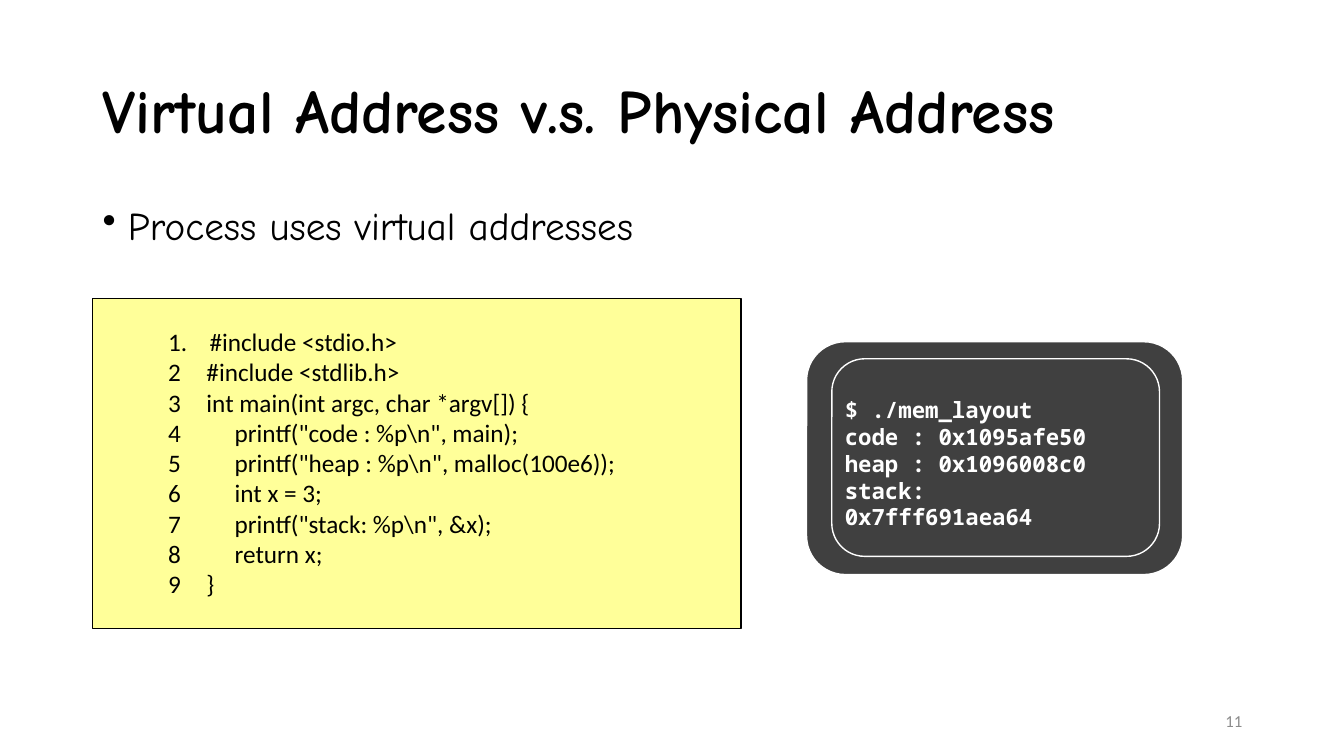
from pptx import Presentation
from pptx.dml.color import RGBColor
from pptx.enum.shapes import MSO_SHAPE
from pptx.enum.text import MSO_ANCHOR, PP_ALIGN
from pptx.oxml import parse_xml
from pptx.oxml.ns import nsdecls
from pptx.util import Inches, Pt

RECT = MSO_SHAPE.RECTANGLE
ROUND = MSO_SHAPE.FLOWCHART_ALTERNATE_PROCESS
TOP, MIDDLE = MSO_ANCHOR.TOP, MSO_ANCHOR.MIDDLE
LEFT, RIGHT = PP_ALIGN.LEFT, PP_ALIGN.RIGHT


def color(code):
    return RGBColor.from_string(code)


def write(box, lines, font="Calibri", size=18, ink="000000", bold=False,
          align=LEFT, anchor=TOP, space=1.0, before=0):
    """Add a text box with one paragraph per line and return the paragraphs."""
    frame = slide.shapes.add_textbox(*map(Inches, box)).text_frame
    frame.word_wrap = True
    frame.vertical_anchor = anchor
    for i, line in enumerate(lines):
        para = frame.add_paragraph() if i else frame.paragraphs[0]
        para.alignment = align
        para.line_spacing = space
        para.space_before = Pt(before)
        run = para.add_run()
        run.text = line
        run.font.name = font
        run.font.size = Pt(size)
        run.font.bold = bold
        run.font.color.rgb = color(ink)
    return frame.paragraphs


def mark(para, indent, tag):
    """Hang the paragraph by indent inches and give it a bullet or number."""
    props = para._p.get_or_add_pPr()
    props.set("marL", str(Inches(indent)))
    props.set("indent", str(-Inches(indent)))
    props.append(parse_xml(tag.replace(" ", f" {nsdecls('a')} ", 1)))


deck = Presentation()
deck.slide_width, deck.slide_height = Inches(13.33), Inches(7.5)
slide = deck.slides.add_slide(deck.slide_layouts[6])

# Heading, bullet and page number
write((0.92, 0.4, 11.5, 1.45), ["Virtual Address v.s. Physical Address"],
      font="Comic Neue", size=44, bold=True, anchor=MIDDLE, space=0.9)
point = write((0.92, 2, 11.5, 4.76), ["Process uses virtual addresses"],
              font="Comic Neue", size=28, space=0.9, before=10)[0]
mark(point, 0.25, '<a:buChar char="•"/>')
write((9.42, 6.95, 3, 0.4), ["11"], size=12, ink="8C8C8C",
      align=RIGHT, anchor=MIDDLE)

# Code panel and terminal window
panels = [
    (RECT, (0.92, 2.96, 6.43, 3.28), "FFFF99", "000000", 0.75),
    (ROUND, (8, 3.39, 3.73, 2.31), "404040", "FFFFFF", 1),
    (ROUND, (8.25, 3.56, 3.25, 1.96), "404040", "FFFFFF", 1),
]
for kind, box, fill, edge, width in panels:
    panel = slide.shapes.add_shape(kind, *map(Inches, box))
    panel.shadow.inherit = False
    panel.fill.solid()
    panel.fill.fore_color.rgb = color(fill)
    panel.line.color.rgb = color(edge)
    panel.line.width = Pt(width)

write((8.28, 3.88, 2.78, 1.45),
      ["$ ./mem_layout", "code : 0x1095afe50", "heap : 0x1096008c0",
       "stack: 0x7fff691aea64"],
      font="Noto Sans Mono", size=16, ink="FFFFFF", bold=True)

# Code: the first number is typed, the rest count on from 2
outer, inner = 0.38, 0.66
code = [
    (outer, "#include <stdlib.h>"),
    (outer, "int main(int argc, char *argv[]) {"),
    (inner, 'printf("code : %p\\n", main);'),
    (inner, 'printf("heap : %p\\n", malloc(100e6));'),
    (inner, "int x = 3;"),
    (inner, 'printf("stack: %p\\n", &x);'),
    (inner, "return x;"),
    (outer, "}"),
]
first, *rest = write((1.57, 3.19, 5.37, 2.83),
                     ["1.\t#include <stdio.h>"] + [line for _, line in code])
first._p.get_or_add_pPr().append(parse_xml(
    f'<a:tabLst {nsdecls("a")}><a:tab pos="{Inches(0.41)}" algn="l"/></a:tabLst>'))
for para, (indent, _) in zip(rest, code):
    mark(para, indent, '<a:buAutoNum type="arabicPlain" startAt="2"/>')

deck.save("out.pptx")
